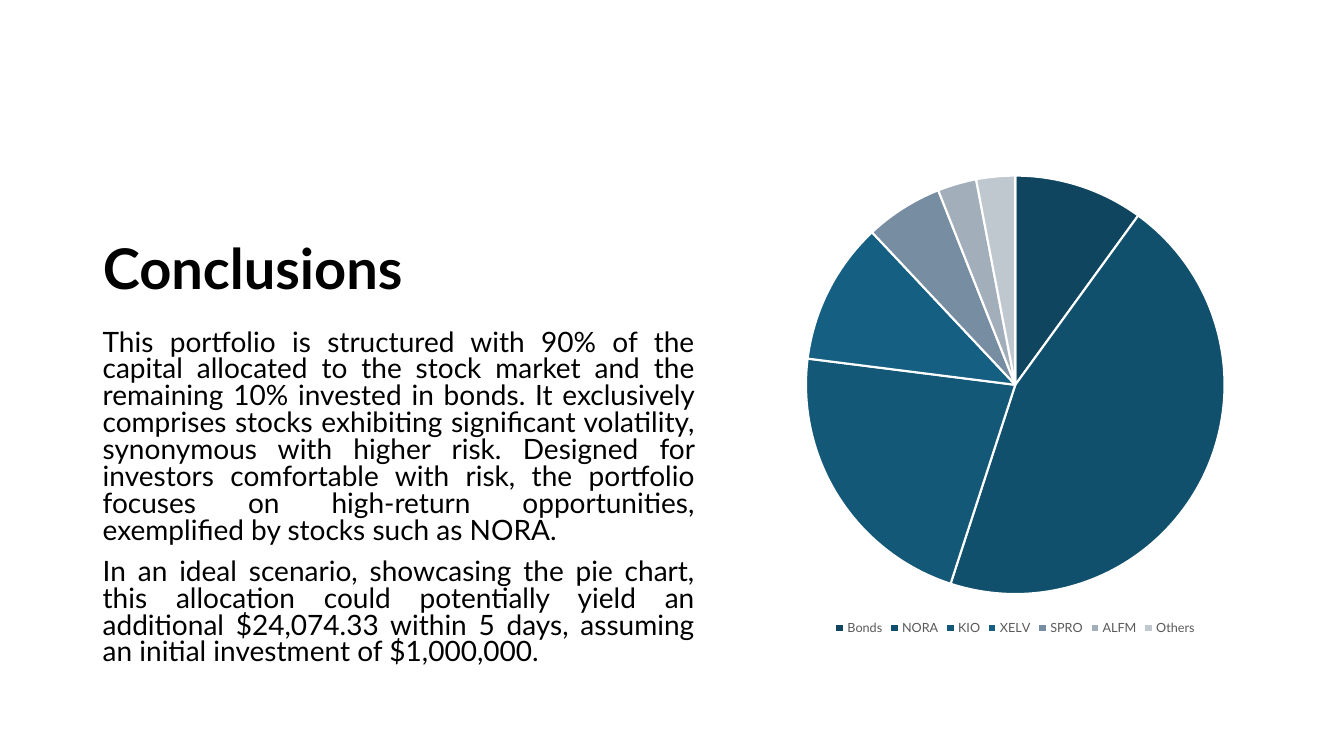
"""Build the conclusions slide with its portfolio pie chart."""
from lxml import etree
from pptx import Presentation
from pptx.chart.data import CategoryChartData as Data
from pptx.dml.color import RGBColor as Color
from pptx.enum.chart import XL_CHART_TYPE as Kind, XL_LEGEND_POSITION as Spot
from pptx.enum.text import MSO_ANCHOR as Anchor, PP_ALIGN as Align
from pptx.util import Inches, Pt

WIDE, HIGH = 13.33, 7.5
FACE = "Lato"
TITLE = "Conclusions"
BODY = [
    "This portfolio is structured with 90% of the capital allocated to the stock market "
    "and the remaining 10% invested in bonds. It exclusively comprises stocks exhibiting "
    "significant volatility, synonymous with higher risk. Designed for investors "
    "comfortable with risk, the portfolio focuses on high-return opportunities, "
    "exemplified by stocks such as NORA.",
    "In an ideal scenario, showcasing the pie chart, this allocation could potentially "
    "yield an additional $24,074.33 within 5 days, assuming an initial investment of "
    "$1,000,000.",
]
SLICES = [
    ("Bonds", 10, "0F455E"),
    ("NORA", 45, "11506C"),
    ("KIO", 22, "135877"),
    ("XELV", 11, "156082"),
    ("SPRO", 6, "778DA1"),
    ("ALFM", 3, "A2AFBB"),
    ("Others", 3, "C0C8CF"),
]
LEFT = 0.92
PLOT = {"x": 0.195, "y": 0.03, "w": 0.61, "h": 0.874}


def paint(item, tint):
    """Give a fill a solid colour."""
    item.solid()
    item.fore_color.rgb = Color.from_string(tint)


def style(font, size, tint="000000", bold=False):
    """Set the face, size, colour and weight of a font."""
    font.name, font.size, font.bold = FACE, Pt(size), bold
    font.color.rgb = Color.from_string(tint)


def place(shape, *box):
    """Move and size a shape in inches."""
    shape.left, shape.top, shape.width, shape.height = map(Inches, box)


def write(slide):
    """Add the heading and the body text."""
    title = slide.shapes.title
    place(title, LEFT, 0.61, 6.56, 2.43)
    title.text_frame.text = TITLE
    title.text_frame.vertical_anchor = Anchor.BOTTOM
    head = title.text_frame.paragraphs[0]
    head.alignment, head.line_spacing = Align.LEFT, 0.9
    style(head.font, 40, bold=True)

    frame = slide.shapes.add_textbox(*map(Inches, (LEFT, 3.23, 6.07, 3.46))).text_frame
    frame.word_wrap = True
    frame.text = "\n".join(BODY)
    for rank, para in enumerate(frame.paragraphs):
        para.alignment, para.line_spacing = Align.JUSTIFY, 0.8
        para.space_before = Pt(10 if rank else 0)
        style(para.font, 20)


def draw(slide):
    """Add the pie chart and its legend."""
    names, parts, tints = zip(*SLICES)
    data = Data()
    data.categories = names
    data.add_series("Series 1", parts)
    box = map(Inches, (WIDE / 2, 1.6, 6.81, 4.75))
    chart = slide.shapes.add_chart(Kind.PIE, *box, data).chart
    style(chart.font, 10)
    chart.has_title = False
    chart.has_legend = True
    chart.legend.position = Spot.BOTTOM
    chart.legend.include_in_layout = False
    style(chart.legend.font, 9, "595959")
    plot = chart.plots[0]
    plot.vary_by_categories = True
    for rank, tint in enumerate(tints):
        form = plot.series[0].points[rank].format
        paint(form.fill, tint)
        paint(form.line.fill, "FFFFFF")
        form.line.width = Pt(1.5)
    fit(chart)


def fit(chart):
    """Fix the pie's place inside the chart, as shares of its size."""
    area = chart.element.find(".//{*}plotArea")
    space = "{%s}" % etree.QName(area).namespace
    for old in area.findall(space + "layout"):
        area.remove(old)
    layout = etree.Element(space + "layout")
    area.insert(0, layout)
    manual = etree.SubElement(layout, space + "manualLayout")
    rules = {"layoutTarget": "inner", "xMode": "edge", "yMode": "edge", **PLOT}
    for name, value in rules.items():
        etree.SubElement(manual, space + name).set("val", str(value))


def main():
    """Make and save the deck."""
    deck = Presentation()
    deck.slide_width, deck.slide_height = Inches(WIDE), Inches(HIGH)
    slide = deck.slides.add_slide(deck.slide_layouts[5])
    paint(slide.background.fill, "FFFFFF")
    write(slide)
    draw(slide)
    deck.save("out.pptx")


if __name__ == "__main__":
    main()
